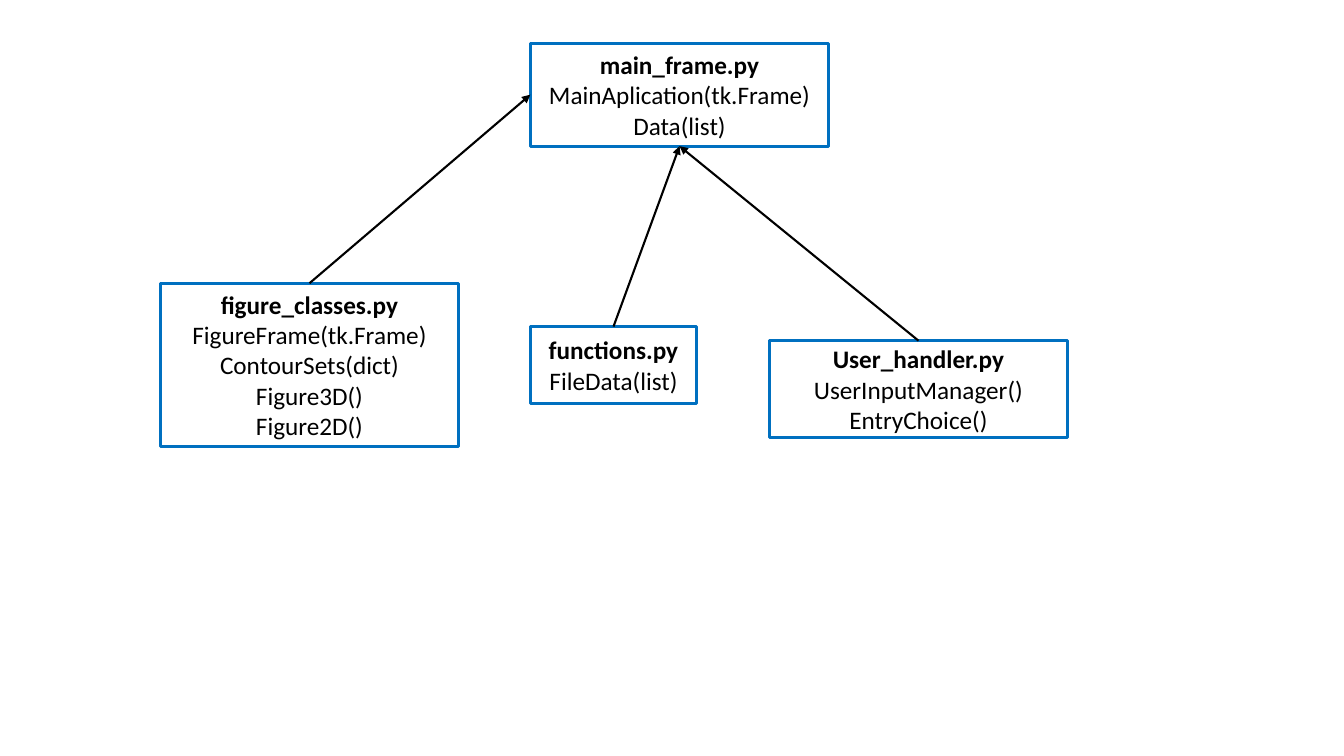
from dataclasses import dataclass

from lxml.etree import SubElement
from pptx import Presentation
from pptx.dml.color import RGBColor
from pptx.enum.shapes import MSO_CONNECTOR, MSO_SHAPE
from pptx.enum.text import MSO_ANCHOR, PP_ALIGN
from pptx.oxml.ns import qn
from pptx.util import Inches, Pt


@dataclass(frozen=True)
class Theme:
    border: RGBColor = RGBColor(0x00, 0x70, 0xC0)
    ink: RGBColor = RGBColor(0x00, 0x00, 0x00)
    font: str = "Calibri"
    text_size: Pt = Pt(18)
    border_width: Pt = Pt(2.25)
    arrow_width: Pt = Pt(1.5)


THEME = Theme()
TOP, LEFT, BOTTOM = 0, 1, 2

MAIN_FRAME = ((5.26, 0.43, 2.96, 1.02),
              ["main_frame.py", "MainAplication(tk.Frame)", "Data(list)"])
MODULES = [
    ((1.59, 2.81, 2.96, 1.62),
     ["figure_classes.py", "FigureFrame(tk.Frame)", "ContourSets(dict)",
      "Figure3D()", "Figure2D()"], LEFT),
    ((5.26, 3.24, 1.65, 0.76), ["functions.py", "FileData(list)"], BOTTOM),
    ((7.63, 3.38, 2.96, 0.96),
     ["User_handler.py", "UserInputManager()", "EntryChoice()"], BOTTOM),
]


def add_module(page, bounds, lines):
    box = page.shapes.add_shape(MSO_SHAPE.RECTANGLE, *map(Inches, bounds))
    box.shadow.inherit = False
    box.fill.background()
    box.line.color.rgb = THEME.border
    box.line.width = THEME.border_width
    frame = box.text_frame
    frame.word_wrap = True
    frame.vertical_anchor = MSO_ANCHOR.MIDDLE
    for index, line in enumerate(lines):
        para = frame.add_paragraph() if index else frame.paragraphs[0]
        para.alignment = PP_ALIGN.CENTER
        para.font.name = THEME.font
        para.font.size = THEME.text_size
        para.font.color.rgb = THEME.ink
        para.font.bold = index == 0
        para.add_run().text = line
    return box


def add_arrow(page, source, target, target_side):
    arrow = page.shapes.add_connector(MSO_CONNECTOR.STRAIGHT, 0, 0, 0, 0)
    arrow.begin_connect(source, TOP)
    arrow.end_connect(target, target_side)
    arrow.line.color.rgb = THEME.ink
    arrow.line.width = THEME.arrow_width
    SubElement(arrow.line._get_or_add_ln(), qn("a:tailEnd"), type="triangle")
    SubElement(arrow._element.spPr, qn("a:effectLst"))


def add_module_diagram(page):
    main_frame = add_module(page, *MAIN_FRAME)
    for bounds, lines, target_side in MODULES:
        module = add_module(page, bounds, lines)
        add_arrow(page, module, main_frame, target_side)


def main():
    deck = Presentation()
    deck.slide_width = Inches(13.33)
    deck.slide_height = Inches(7.5)
    page = deck.slides.add_slide(deck.slide_layouts[6])
    add_module_diagram(page)
    deck.save("out.pptx")


if __name__ == "__main__":
    main()
